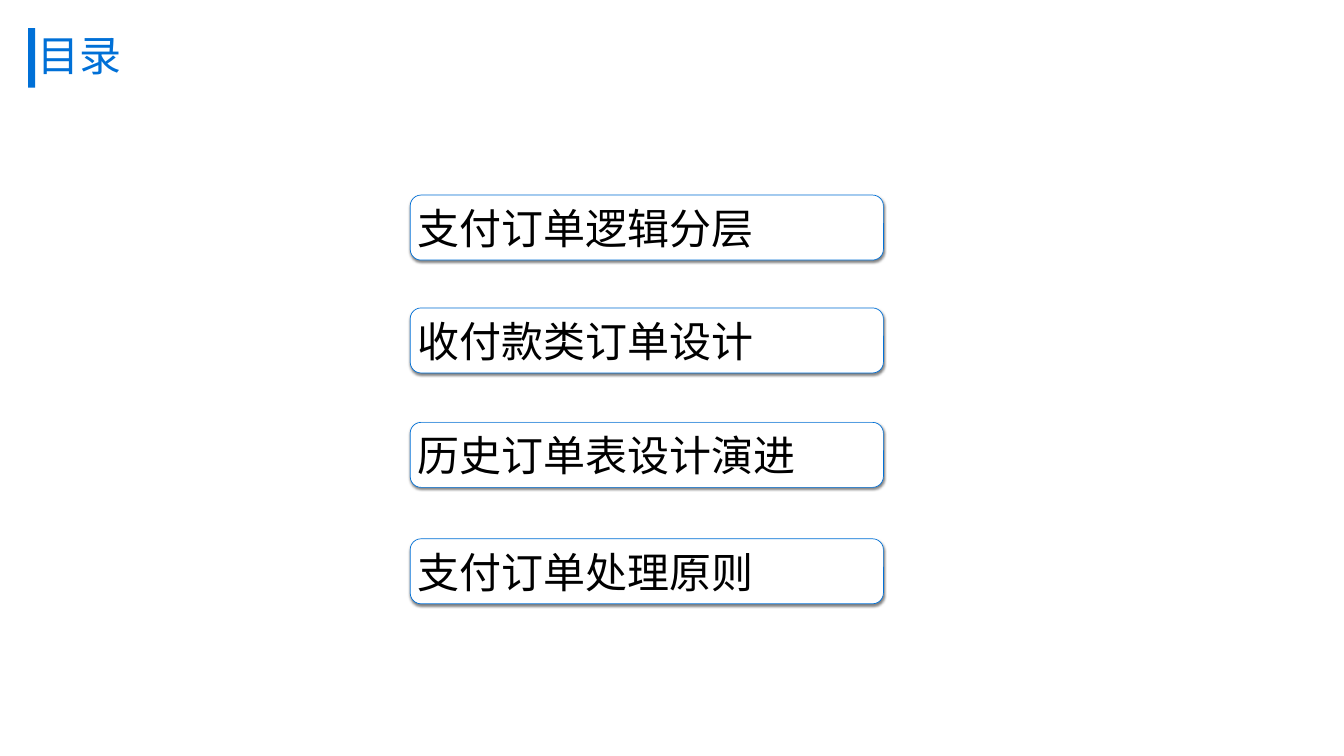
"""Build the agenda slide: a marked title and four rounded topic boxes."""
from lxml.etree import SubElement
from pptx import Presentation
from pptx.dml.color import RGBColor
from pptx.enum.shapes import MSO_SHAPE as Preset
from pptx.enum.text import MSO_ANCHOR as Anchor, MSO_AUTO_SIZE as AutoSize, PP_ALIGN as Align
from pptx.oxml.ns import qn
from pptx.util import Emu, Pt

PX = 9144
BLUE, BLACK, WHITE = "0070D7", "000000", "FFFFFF"
FONT = "Noto Sans CJK SC"
TOPICS = {
    "支付订单逻辑分层": 387,
    "收付款类订单设计": 611,
    "历史订单表设计演进": 838,
    "支付订单处理原则": 1069,
}


def px(length):
    return Emu(length * PX)


def color(code):
    return RGBColor.from_string(code)


def assign(target, values):
    for name, value in values.items():
        setattr(target, name, value)


class Deck:
    def __init__(self, width, height):
        self.show = Presentation()
        assign(self.show, {"slide_width": px(width), "slide_height": px(height)})
        self.slide = self.show.slides.add_slide(self.show.slide_layouts[5])

    def label(self, shape, text, ink, inset, frame_format, paragraph_format):
        frame = shape.text_frame
        sides = ("left", "top", "right", "bottom")
        margins = {f"margin_{side}": px(inset) for side in sides}
        assign(frame, {**margins, "auto_size": AutoSize.SHAPE_TO_FIT_TEXT, **frame_format})
        paragraph = frame.paragraphs[0]
        assign(paragraph, {"alignment": Align.LEFT, **paragraph_format})
        run = paragraph.add_run()
        run.text = text
        assign(run.font, {"size": Pt(60), "name": FONT})
        run.font.color.rgb = color(ink)
        SubElement(run.font._element, qn("a:ea"), typeface=FONT)

    def title(self, text, left, top, width, height):
        heading = self.slide.shapes.title
        assign(heading, {"left": px(left), "top": px(top),
                         "width": px(width), "height": px(height)})
        self.label(heading, text, BLUE, 10,
                   {"word_wrap": False, "vertical_anchor": Anchor.TOP},
                   {"line_spacing": 0.9})

    def block(self, preset, fill, *box):
        block = self.slide.shapes.add_shape(preset, *map(px, box))
        block.shadow.inherit = False
        block.fill.solid()
        block.fill.fore_color.rgb = color(fill)
        block.line.fill.background()
        return block

    def topic(self, text, *box):
        topic = self.block(Preset.ROUNDED_RECTANGLE, WHITE, *box)
        topic.line.color.rgb = color(BLUE)
        topic.line.width = Pt(1)
        self.drop_shadow(topic)
        self.label(topic, text, BLACK, 8,
                   {"word_wrap": True, "vertical_anchor": Anchor.MIDDLE}, {})

    def drop_shadow(self, shape):
        effects = shape._element.spPr.find(qn("a:effectLst"))
        shadow = SubElement(effects, qn("a:outerShdw"), blurRad=str(Pt(4)),
                            dist=str(Pt(2)), dir="5400000", rotWithShape="0")
        tint = SubElement(shadow, qn("a:srgbClr"), val=BLACK)
        SubElement(tint, qn("a:alpha"), val="50000")


def main():
    deck = Deck(2667, 1500)
    deck.block(Preset.RECTANGLE, BLUE, 56, 56, 14, 118)
    deck.title("目录", 65, 59, 188, 111)
    for topic, top in TOPICS.items():
        deck.topic(topic, 814, top, 939, 129)
    deck.show.save("out.pptx")


if __name__ == "__main__":
    main()
